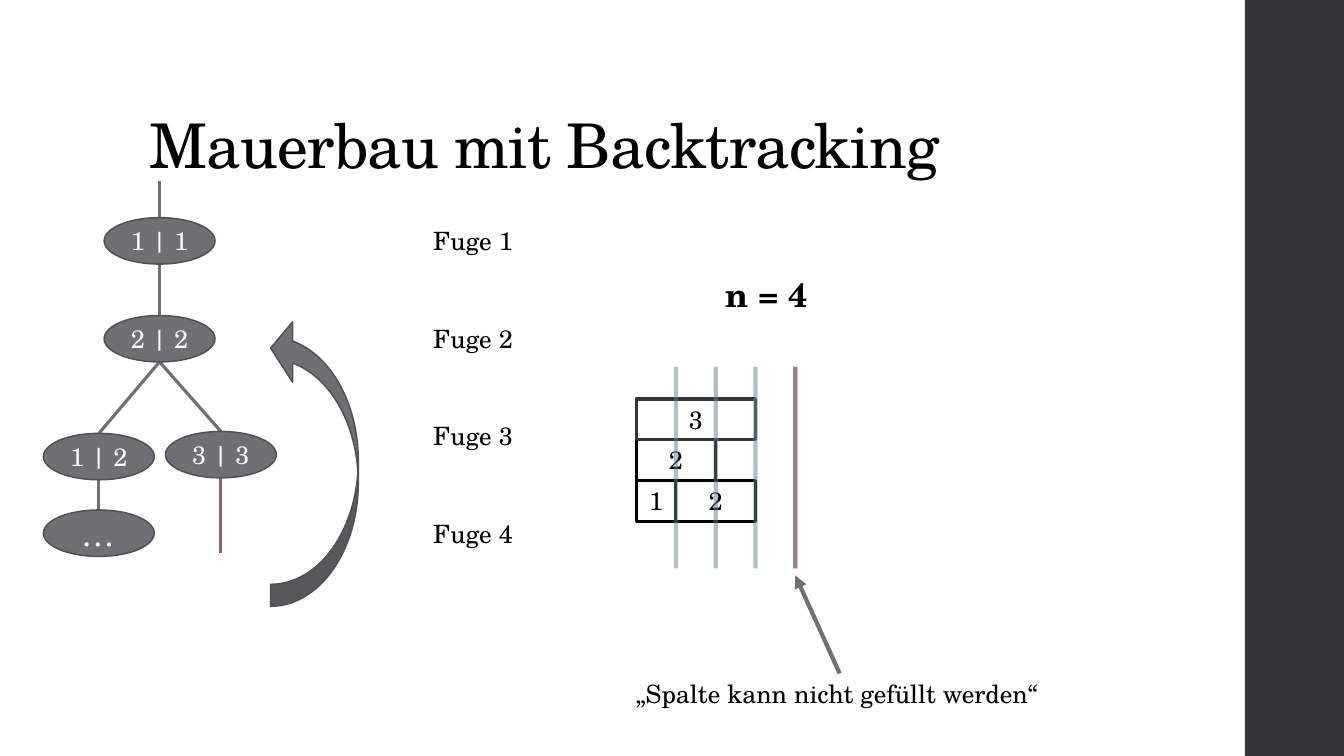
from lxml import etree
from pptx import Presentation
from pptx.dml.color import RGBColor
from pptx.enum import shapes, text
from pptx.oxml import ns
from pptx.util import Pt

BLACK = RGBColor(0, 0, 0)
WHITE = RGBColor(0xFF, 0xFF, 0xFF)
DARK = RGBColor(0x35, 0x35, 0x37)
GRAY = RGBColor(0x6F, 0x6F, 0x74)
EDGE = RGBColor(0x52, 0x52, 0x56)
BLUE = RGBColor(0x61, 0x81, 0x97)
RED = RGBColor(0x9A, 0, 0)
MAUVE = RGBColor(0x8D, 0x63, 0x74)
FACE = "TeX Gyre Schola"
KIND = shapes.MSO_SHAPE
ALIGN = text.PP_ALIGN
ANCHOR = text.MSO_ANCHOR


def apply(target, values):
    for key, value in values.items():
        setattr(target, key, value)


def write(shape, words, size=18, color=BLACK, align=ALIGN.LEFT,
          anchor=ANCHOR.TOP, bold=False, wrap=True):
    frame = shape.text_frame
    frame.text = words
    apply(frame, {"word_wrap": wrap, "vertical_anchor": anchor})
    para = frame.paragraphs[0]
    para.alignment = align
    font = para.runs[0].font
    apply(font, {"name": FACE, "size": Pt(size), "bold": bold})
    font.color.rgb = color
    return para


def shape(slide, kind, box, fill, edge=None, width=1.1):
    item = slide.shapes.add_shape(kind, *map(Pt, box))
    item.shadow.inherit = False
    item.fill.solid()
    item.fill.fore_color.rgb = fill
    if edge is None:
        item.line.fill.background()
    else:
        item.line.color.rgb = edge
        item.line.width = Pt(width)
    return item


def line(slide, start, end, color=GRAY, width=2.25, alpha=None, arrow=False):
    item = slide.shapes.add_connector(
        shapes.MSO_CONNECTOR.STRAIGHT, *map(Pt, (*start, *end)))
    item.line.color.rgb = color
    item.line.width = Pt(width)
    props = item.element.spPr
    etree.SubElement(props, ns.qn("a:effectLst"))
    if alpha:
        tint = next(props.iter(ns.qn("a:srgbClr")))
        etree.SubElement(tint, ns.qn("a:alpha"), val=str(alpha * 1000))
    if arrow:
        stroke = props.find(ns.qn("a:ln"))
        etree.SubElement(stroke, ns.qn("a:tailEnd"), type="triangle")


def label(slide, box, words, **style):
    item = slide.shapes.add_textbox(*map(Pt, box))
    write(item, words, wrap=False, **style)


def heading(slide, box):
    title = slide.shapes.title
    apply(title, dict(zip(("left", "top", "width", "height"), map(Pt, box))))
    para = write(title, "Mauerbau mit Backtracking", 44, anchor=ANCHOR.BOTTOM)
    para.line_spacing = 0.9
    para.runs[0].font._element.set("spc", "-50")


def tree(slide, box):
    left, top, width, height = box
    wide, high = 79.2, 33.1
    mid, right = left + 43.4, left + width - wide
    nodes = [
        ("1 | 1", mid, top + 25.9, 18),
        ("2 | 2", mid, top + 95.8, 18),
        ("1 | 2", left, top + 180, 18),
        ("3 | 3", right, top + 178.6, 18),
        ("…", left, top + height - high, 24),
    ]
    heads = [(x + wide / 2, y) for _, x, y, _ in nodes]
    feet = [(x, y + high) for x, y in heads]
    line(slide, (heads[0][0], top), heads[0])
    for parent, child in ((0, 1), (1, 2), (1, 3), (2, 4)):
        line(slide, feet[parent], heads[child])
    line(slide, feet[3], (feet[3][0], feet[3][1] + 54), MAUVE)
    for words, x, y, size in nodes:
        node = shape(slide, KIND.OVAL, (x, y, wide, high), GRAY, EDGE)
        write(node, words, size, WHITE, ALIGN.CENTER, ANCHOR.MIDDLE)


def back(slide, box):
    arrow = shape(slide, KIND.CURVED_UP_ARROW, box, GRAY, EDGE)
    arrow.rotation = 270
    for i, value in enumerate((0.25, 0.687, 0.25)):
        arrow.adjustments[i] = value


def joints(slide, box):
    left, top, width, height = box
    for i in range(4):
        label(slide, (left, top + i * 69.6, width, height), f"Fuge {i + 1}")


def wall(slide, box):
    left, top, width, height = box
    unit, row = width / 4, 29.2
    bricks = [(1, 2, 2), (0, 2, 1), (0, 1, 2), (0, 0, 3)]
    for col, level, size in bricks:
        place = (left + col * unit, top + 23 + level * row, size * unit, row)
        edge = BLACK if level else DARK
        brick = shape(slide, KIND.RECTANGLE, place, WHITE, edge, 2.25)
        write(brick, str(size), align=ALIGN.CENTER)
    for col, color in ((1, BLUE), (2, BLUE), (3, BLUE), (4, RED), (4, BLUE)):
        x = left + col * unit
        line(slide, (x, top + height), (x, top), color, 3, 50)
    label(slide, (left + 56.9, top - 69.8, 73.4, 36), "n = 4",
          size=24, bold=True)


def note(slide, box):
    left, top, width, height = box
    label(slide, box, "„Spalte kann nicht gefüllt werden“")
    line(slide, (left + width / 2, top), (left + 121, top - 70),
         width=3, arrow=True)


def main():
    deck = Presentation()
    apply(deck, {"slide_width": Pt(960), "slide_height": Pt(540)})
    slide = deck.slides.add_slide(deck.slide_layouts[5])
    shape(slide, KIND.RECTANGLE, (889.2, 0, 72, 540), DARK)
    heading(slide, (99.4, 28.8, 763.2, 104.4))
    wall(slide, (454.4, 262, 113.6, 144))
    note(slide, (447.1, 481, 305.3, 28.8))
    joints(slide, (302.4, 157.7, 72, 28.8))
    tree(slide, (31, 129.6, 166.4, 267.8))
    back(slide, (121.7, 298.8, 205.9, 62.6))
    deck.save("out.pptx")


if __name__ == "__main__":
    main()
